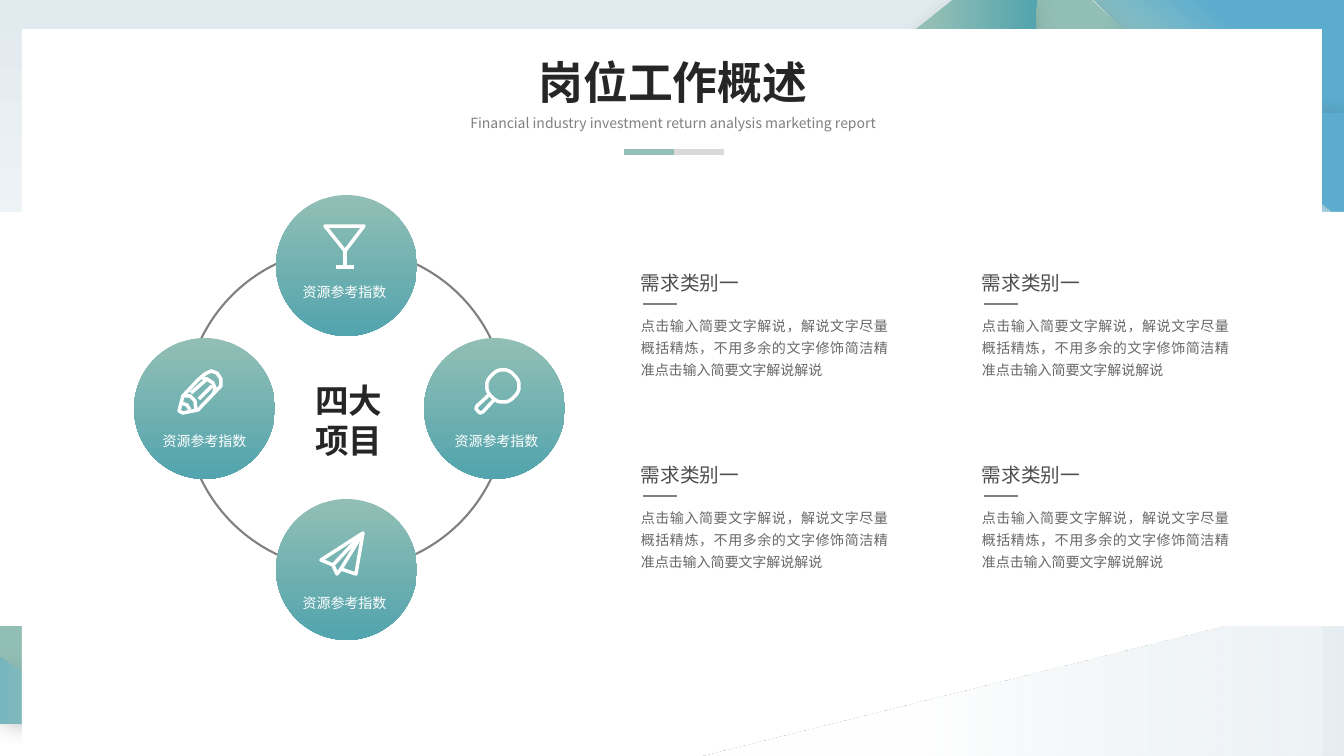
from math import cos, pi, sin

from lxml.etree import SubElement
from pptx import Presentation
from pptx.dml.color import RGBColor
from pptx.enum.shapes import MSO_CONNECTOR, MSO_SHAPE
from pptx.enum.text import PP_ALIGN
from pptx.oxml.ns import qn
from pptx.util import Pt

SCALE = 914400 / 100.8
FONT = "Noto Sans CJK SC"
WHITE = RGBColor(0xFF, 0xFF, 0xFF)
MIST = RGBColor(0xE1, 0xEA, 0xEF)
SAGE = RGBColor(0x92, 0xBF, 0xB5)
TEAL = RGBColor(0x52, 0xA4, 0xAE)
AQUA = RGBColor(0x77, 0xB6, 0xBF)
LEAF = RGBColor(0xB6, 0xD3, 0xB7)
BLUE = RGBColor(0x5C, 0xAC, 0xCF)
SKY = RGBColor(0xA7, 0xD2, 0xE5)
INK = RGBColor(0x26, 0x26, 0x26)
HEADING = RGBColor(0x4F, 0x4D, 0x50)
BODY = RGBColor(0x68, 0x67, 0x69)
GREY = RGBColor(0x80, 0x80, 0x80)
SILVER = RGBColor(0xD9, 0xD9, 0xD9)

LABEL = "资源参考指数"
CATEGORY = "需求类别一"
DETAIL = "点击输入简要文字解说，解说文字尽量概括精炼，不用多余的文字修饰简洁精准点击输入简要文字解说解说"

LENS = [(79 + 16 * cos(step * pi / 16), 48 + 16 * sin(step * pi / 16)) for step in range(32)]
# Each icon is a list of (closed, points), measured from its circle's corner.
GLASS = [(True, [(49, 31), (88, 31), (69, 56)]),
         (False, [(69, 56), (69, 72)]),
         (False, [(60, 72), (78, 72)])]
PENCIL = [(True, [(45, 73), (49, 58), (64, 42), (71, 36), (77, 33), (83, 35), (87, 41),
                  (87, 48), (85, 50), (64, 72), (49, 75)]),
          (False, [(49, 58), (56, 58), (61, 63), (62, 72)]),
          (False, [(57, 55), (72, 42)]),
          (False, [(65, 61), (78, 48)]),
          (False, [(68, 40), (73, 41), (79, 45), (81, 50), (80, 54)]),
          (False, [(47, 65), (53, 67), (56, 72)])]
MAGNIFIER = [(True, LENS),
             (False, [(65, 57), (53, 68), (52, 71), (56, 75), (59, 74), (70, 62)])]
PLANE = [(True, [(87, 34), (45, 61), (57, 66), (61, 75), (65, 70), (80, 75)]),
         (False, [(57, 66), (87, 34), (65, 70)])]


def px(length):
    """Turn pixels into EMU."""
    return round(length * SCALE)


def paint(shape, fill=None, line=None, width=1.5):
    """Set a plain fill and line, without shadow."""
    shape.shadow.inherit = False
    if fill is None:
        shape.fill.background()
    else:
        shape.fill.solid()
        shape.fill.fore_color.rgb = fill
    if line is None:
        shape.line.fill.background()
    else:
        shape.line.color.rgb = line
        shape.line.width = Pt(width)


def paint_gradient(shape, stops, angle=0):
    """Fill with two (position, colour) stops; the angle runs counter-clockwise."""
    paint(shape)
    shape.fill.gradient()
    shape.fill.gradient_angle = angle
    for stop, (position, color) in zip(shape.fill.gradient_stops, stops):
        stop.position = position
        stop.color.rgb = color


def add_preset(slide, kind, left, top, width, height):
    """Add a preset shape."""
    return slide.shapes.add_shape(kind, px(left), px(top), px(width), px(height))


def add_outline(slide, contours, left=0, top=0):
    """Build one freeform from (closed, points) contours."""
    builder = None
    for closed, points in contours:
        points = [(left + x, top + y) for x, y in points]
        if builder is None:
            builder = slide.shapes.build_freeform(*points[0], scale=SCALE)
        else:
            builder.move_to(*points[0])
        builder.add_line_segments(points[1:], close=closed)
    return builder.convert_to_shape()


def add_facet(slide, points, stops, angle=0):
    """Add a gradient polygon with a soft shadow."""
    shape = add_outline(slide, [(True, points)])
    paint_gradient(shape, stops, angle)
    effects = shape.element.spPr.find(qn("a:effectLst"))
    shadow = SubElement(effects, qn("a:outerShdw"), blurRad=str(Pt(15)),
                        dist=str(Pt(3)), dir="2700000", rotWithShape="0")
    color = SubElement(shadow, qn("a:srgbClr"), val="000000")
    SubElement(color, qn("a:alpha"), val="10000")


def add_rule(slide, left, top, width, color, weight):
    """Add a horizontal line."""
    line = slide.shapes.add_connector(MSO_CONNECTOR.STRAIGHT, px(left), px(top),
                                      px(left + width), px(top))
    line.line.color.rgb = color
    line.line.width = Pt(weight)
    SubElement(line.element.spPr, qn("a:effectLst"))


def add_text(slide, box, text, size, color, align=PP_ALIGN.CENTER, bold=False,
             spacing=None, wrap=False):
    """Add a text box whose paragraphs share one style."""
    frame = slide.shapes.add_textbox(*map(px, box)).text_frame
    frame.word_wrap = wrap
    frame.text = text
    for paragraph in frame.paragraphs:
        paragraph.alignment = align
        paragraph.line_spacing = spacing
        font = paragraph.font
        font.size, font.bold, font.name = Pt(size), bold, FONT
        font.color.rgb = color
        for properties in paragraph._p.iter(qn("a:defRPr")):
            SubElement(properties, qn("a:ea"), typeface=FONT)


def add_slope(slide):
    """Add the pale slope in the lower right corner."""
    slope = add_preset(slide, MSO_SHAPE.ISOSCELES_TRIANGLE, 703, 597, 641, 159)
    slope.adjustments[0] = 1
    paint_gradient(slope, [(0, MIST), (0.67, WHITE)], 180)
    color = next(slope.element.spPr.iter(qn("a:srgbClr")))
    SubElement(color, qn("a:alpha"), val="57000")


def add_background(slide, width, height):
    """Add the coloured corners, the white panel and the white band."""
    backdrop = add_preset(slide, MSO_SHAPE.RECTANGLE, 0, 0, width, height)
    paint_gradient(backdrop, [(0, MIST), (0.67, WHITE)], 270)
    add_slope(slide)
    add_facet(slide, [(0, 598), (29, 598), (122, 724), (0, 724)],
              [(0.37, SAGE), (0.76, TEAL)], 340)
    add_facet(slide, [(0, 657), (103, 724), (0, 724)], [(0.45, SAGE), (1, AQUA)], 180)
    add_facet(slide, [(1094, 0), (width, 0), (width, 245)], [(0.31, LEAF), (0.75, BLUE)], 50)
    add_facet(slide, [(1211, 113), (width, 113), (width, 344)], [(0, SAGE), (0.63, SKY)])
    add_facet(slide, [(1210, 113), (width, 113), (width, 221)], [(0, SAGE), (0.65, BLUE)])
    add_facet(slide, [(1034, 0), (1092, 0), (1214, 116), (1027, 251)],
              [(0.4, SAGE), (0.93, TEAL)])
    add_facet(slide, [(953, 0), (1037, 0), (1027, 252), (866, 68)],
              [(0.37, SAGE), (1, TEAL)])
    paint(add_preset(slide, MSO_SHAPE.RECTANGLE, 22, 29, 1300, height - 29), WHITE)
    add_slope(slide)
    paint(add_preset(slide, MSO_SHAPE.RECTANGLE, 0, 212, width, 414), WHITE)


def add_header(slide, left, top, width):
    """Add the title, the subtitle and the two-tone rule."""
    add_text(slide, (left, top, width, 65), "岗位工作概述", 32, INK, bold=True)
    add_text(slide, (left, top + 60, width, 27),
             "Financial industry investment return analysis marketing report",
             10, GREY, wrap=True)
    middle = left + width / 2 + 1
    add_rule(slide, middle - 50, top + 102, 50, SAGE, 4.5)
    add_rule(slide, middle, top + 102, 50, SILVER, 4.5)


def add_project(slide, left, top, icon, label_left, label_top):
    """Add one project circle with its icon and label."""
    circle = add_preset(slide, MSO_SHAPE.OVAL, left, top, 141, 141)
    paint_gradient(circle, [(0, SAGE), (1, TEAL)], 270)
    paint(add_outline(slide, icon, left, top), line=WHITE, width=2.5)
    add_text(slide, (left + label_left, top + label_top, 105, 27), LABEL, 10, WHITE)


def add_cycle(slide, left, top):
    """Add the ring, its four project circles and the centre caption."""
    ring = add_preset(slide, MSO_SHAPE.OVAL, left + 51, top + 53, 322, 322)
    paint(ring, line=GREY)
    projects = [(0, 143, PENCIL, 18, 90), (142, 0, GLASS, 16, 84),
                (290, 143, MAGNIFIER, 20, 90), (142, 304, PLANE, 16, 91)]
    for across, down, icon, label_left, label_top in projects:
        add_project(slide, left + across, top + down, icon, label_left, label_top)
    add_text(slide, (left + 169, top + 180, 92, 92), "四大\n项目", 24, INK, bold=True)


def add_category(slide, left, top):
    """Add one category: heading, short rule and explanation."""
    add_rule(slide, left + 12, top + 45, 34, GREY, 1.5)
    add_text(slide, (left, top + 49, 267, 77), DETAIL, 10, BODY,
             PP_ALIGN.JUSTIFY, spacing=1.3, wrap=True)
    add_text(slide, (left, top, 146, 38), CATEGORY, 14, HEADING,
             PP_ALIGN.LEFT, spacing=1.3, wrap=True)


def add_categories(slide, left, top):
    """Place the four categories in a two by two grid."""
    for column in range(2):
        for row in range(2):
            add_category(slide, left + 341 * column, top + 192 * row)


presentation = Presentation()
presentation.slide_width, presentation.slide_height = px(1344), px(756)
slide = presentation.slides.add_slide(presentation.slide_layouts[6])
add_background(slide, 1344, 756)
add_cycle(slide, 134, 195)
add_categories(slide, 631, 259)
add_header(slide, 366, 50, 614)
presentation.save("out.pptx")
